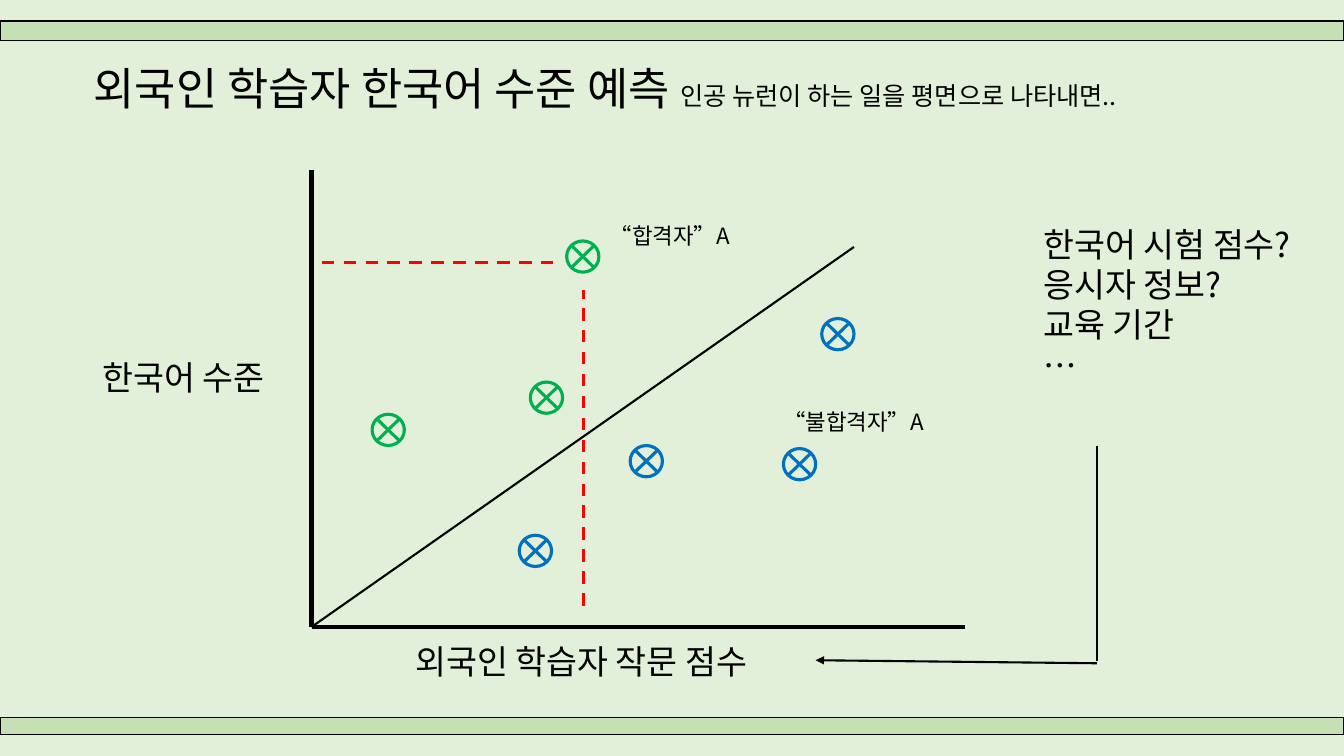
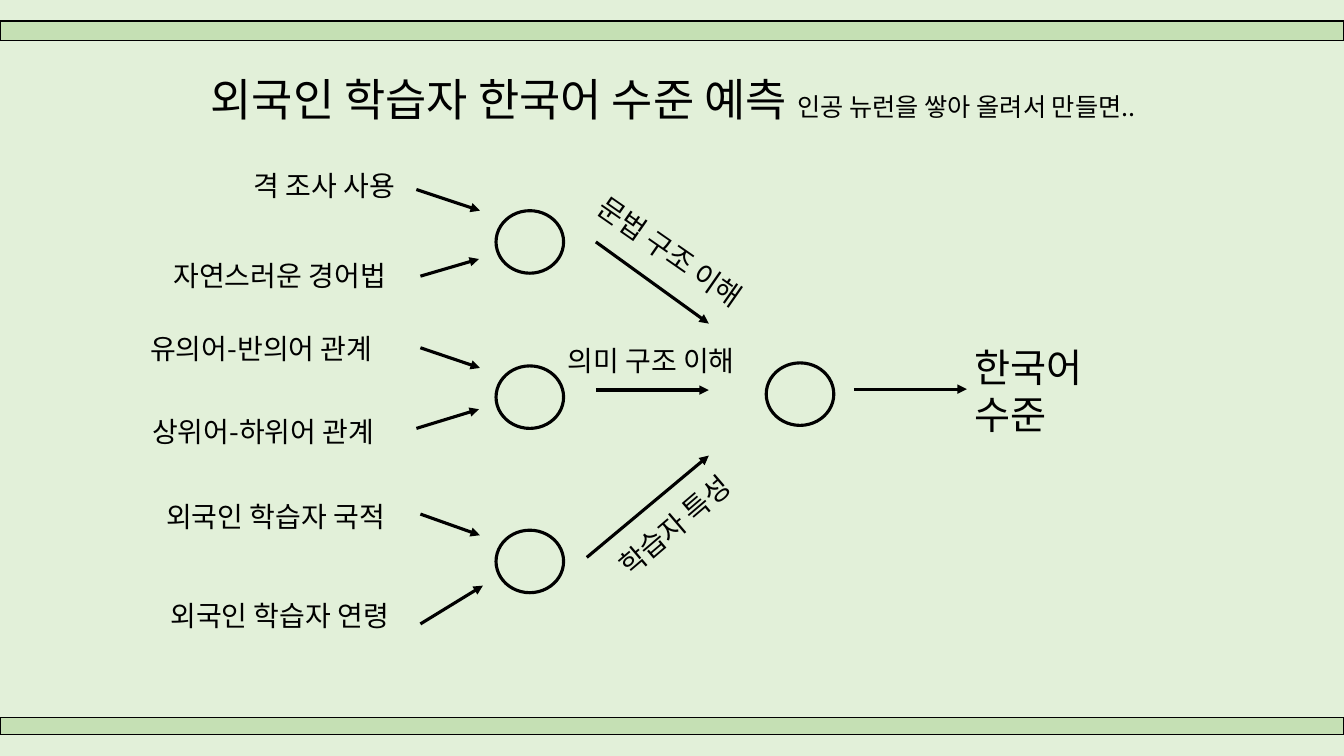
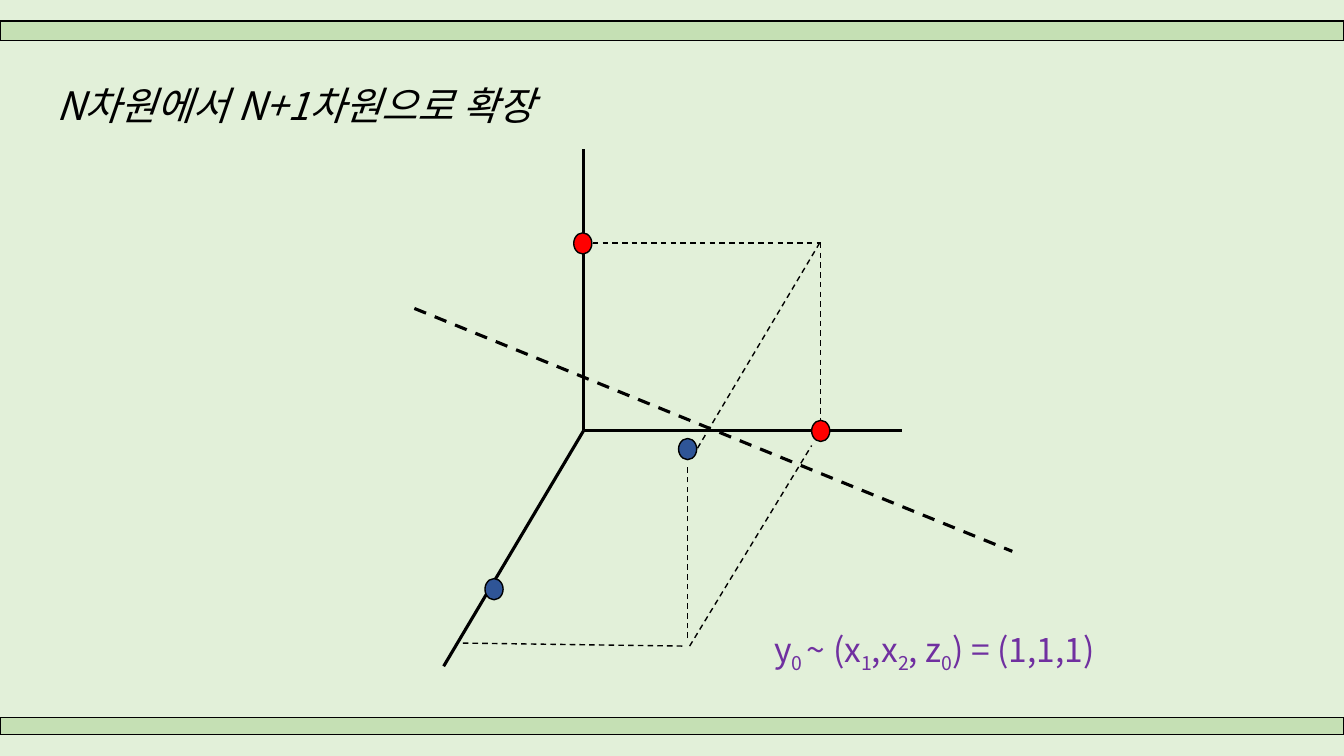
from lxml import etree
from pptx import Presentation, util as u
from pptx.dml import color
from pptx.enum import dml, shapes, text
from pptx.oxml import ns

PX = 9144
FONT = "Noto Sans CJK KR"
BLACK = color.RGBColor(0x00, 0x00, 0x00)
PAPER = color.RGBColor(0xE2, 0xF0, 0xD9)
BAND = color.RGBColor(0xC5, 0xE0, 0xB4)
RED = color.RGBColor(0xFF, 0x00, 0x00)
GREEN = color.RGBColor(0x00, 0xB0, 0x50)
BLUE = color.RGBColor(0x00, 0x70, 0xC0)
NAVY = color.RGBColor(0x2F, 0x55, 0x97)
PURPLE = color.RGBColor(0x70, 0x30, 0xA0)
KIND = shapes.MSO_SHAPE


class Board:
    """Holds the deck style and draws on the current page."""

    def __init__(self):
        self.deck = Presentation()
        self.deck.slide_width = 1333 * PX
        self.deck.slide_height = 750 * PX
        self.page = None

    def new_page(self):
        self.page = self.deck.slides.add_slide(self.deck.slide_layouts[6])
        fill = self.page.background.fill
        fill.solid()
        fill.fore_color.rgb = PAPER
        for top, height in ((21, 19), (712, 17)):
            self.shape(KIND.RECTANGLE, (0, top, 1333, height), BAND)

    def shape(self, kind, place, fill=None, line=BLACK, weight=1):
        item = self.page.shapes.add_shape(kind, *(n * PX for n in place))
        item.shadow.inherit = False
        if fill is None:
            item.fill.background()
        else:
            item.fill.solid()
            item.fill.fore_color.rgb = fill
        item.line.color.rgb = line
        item.line.width = u.Pt(weight)

    def line(self, start, end, weight=2.25, ink=BLACK, dash=False, arrow=False):
        item = self.page.shapes.add_connector(
            shapes.MSO_CONNECTOR.STRAIGHT, *(n * PX for n in start + end))
        item.line.color.rgb = ink
        item.line.width = u.Pt(weight)
        if dash:
            item.line.dash_style = dml.MSO_LINE.DASH
        properties = item._element.spPr
        if arrow:
            outline = properties.find(ns.qn("a:ln"))
            etree.SubElement(outline, ns.qn("a:tailEnd"), type="triangle")
        etree.SubElement(properties, ns.qn("a:effectLst"))

    def span(self, para, words, size, ink=BLACK, italic=False, low=False):
        span = para.add_run()
        span.text = words
        span.font.name = FONT
        span.font.size = u.Pt(size)
        span.font.color.rgb = ink
        if italic:
            span.font.italic = True
        properties = span._r.get_or_add_rPr()
        etree.SubElement(properties, ns.qn("a:ea"), typeface=FONT)
        if low:
            properties.set("baseline", "-25000")

    def box(self, place, turn=0):
        box = self.page.shapes.add_textbox(*(n * PX for n in place))
        box.rotation = turn
        frame = box.text_frame
        frame.word_wrap = True
        frame.auto_size = text.MSO_AUTO_SIZE.SHAPE_TO_FIT_TEXT
        return frame

    def label(self, place, lines, size, turn=0, italic=False):
        frame = self.box(place, turn)
        for index, words in enumerate(lines.split("\n")):
            para = frame.add_paragraph() if index else frame.paragraphs[0]
            self.span(para, words, size, italic=italic)

    def title(self, place, remark):
        para = self.box(place).paragraphs[0]
        self.span(para, "외국인 학습자 한국어 수준 예측 ", 32)
        self.span(para, remark, 18)

    def formula(self, place, parts, size, ink):
        para = self.box(place).paragraphs[0]
        for index, words in enumerate(parts):
            self.span(para, words, size, ink, low=index % 2 == 1)


def draw_plane(board):
    board.new_page()
    board.title((83, 55, 1273, 64), "인공 뉴런이 하는 일을 평면으로 나타내면..")
    origin = (309, 622)
    board.line((309, 169), origin, 3)
    board.line((957, 622), origin, 3)
    board.line((847, 245), origin, 1.5)
    learners = {
        GREEN: ((526, 379), (369, 411), (562, 239)),
        BLUE: ((515, 531), (815, 316), (625, 442), (777, 445)),
    }
    for ink, corners in learners.items():
        for corner in corners:
            board.shape(KIND.FLOWCHART_SUMMING_JUNCTION, corner + (32, 31),
                        line=ink, weight=2.25)
    board.line((319, 260), (548, 260), ink=RED, dash=True)
    board.line((579, 601), (579, 288), ink=RED, dash=True)
    board.line((1088, 442), (1088, 656), 1.5)
    board.line((1088, 658), (809, 655), 1.5, arrow=True)
    board.label((1025, 217, 279, 172),
                "한국어 시험 점수?\n응시자 정보?\n교육 기간\n…", 24)
    board.label((767, 400, 285, 37), "“불합격자”A", 16)
    board.label((595, 215, 285, 37), "“합격자”A", 16)
    board.label((92, 349, 257, 50), "한국어 수준", 24)
    board.label((402, 631, 431, 50), "외국인 학습자 작문 점수", 24)


def draw_network(board):
    board.new_page()
    board.title((199, 66, 1188, 64), "인공 뉴런을 쌓아 올려서 만들면..")
    for left, top in ((492, 209), (492, 363), (492, 526), (760, 360)):
        board.shape(KIND.OVAL, (left, top, 67, 62), weight=2.25)
    arrows = (
        ((413, 188), (476, 209)),
        ((417, 274), (475, 257)),
        ((417, 345), (476, 365)),
        ((413, 425), (475, 406)),
        ((417, 510), (476, 531)),
        ((417, 619), (479, 581)),
        ((591, 240), (703, 321)),
        ((591, 387), (703, 387)),
        ((582, 553), (703, 452)),
        ((847, 386), (959, 386)),
    )
    for start, end in arrows:
        board.line(start, end, arrow=True)
    features = (
        (242, 162, 233, "격 조사 사용", 0),
        (162, 252, 262, "자연스러운 경어법", 0),
        (139, 324, 340, "유의어-반의어 관계", 0),
        (141, 406, 340, "상위어-하위어 관계", 0),
        (155, 491, 272, "외국인 학습자 국적", 0),
        (159, 589, 272, "외국인 학습자 연령", 0),
        (570, 234, 207, "문법 구조 이해", 34.8),
        (553, 336, 207, "의미 구조 이해", 0),
        (586, 482, 207, "학습자 특성", 319.5),
    )
    for left, top, width, words, turn in features:
        board.label((left, top, width, 44), words, 20, turn)
    board.label((957, 336, 142, 104), "한국어\n수준", 28)


def draw_space(board):
    board.new_page()
    board.label((46, 76, 1118, 57), "N차원에서 N+1차원으로 확장", 28, italic=True)
    origin = (579, 427)
    for end in ((579, 148), (440, 661), (895, 427)):
        board.line(origin, end)
    points = ((569, 231, RED), (805, 417, RED), (673, 435, NAVY), (481, 574, NAVY))
    for left, top, fill in points:
        board.shape(KIND.OVAL, (left, top, 18, 21), fill)
    edges = (
        ((588, 241), (814, 241)),
        ((814, 241), (814, 417)),
        ((813, 241), (691, 446)),
        ((682, 633), (682, 461)),
        ((684, 641), (805, 442)),
        ((459, 638), (680, 641)),
    )
    for start, end in edges:
        board.line(start, end, 1, dash=True)
    board.line((411, 306), (1004, 547), dash=True)
    board.formula((758, 619, 493, 50),
                  ("y", "0 ", "~ (x", "1", ",x", "2", ", z", "0", ") = (1,1,1)"),
                  24, PURPLE)


def main():
    board = Board()
    draw_plane(board)
    draw_network(board)
    draw_space(board)
    board.deck.save("out.pptx")


if __name__ == "__main__":
    main()
